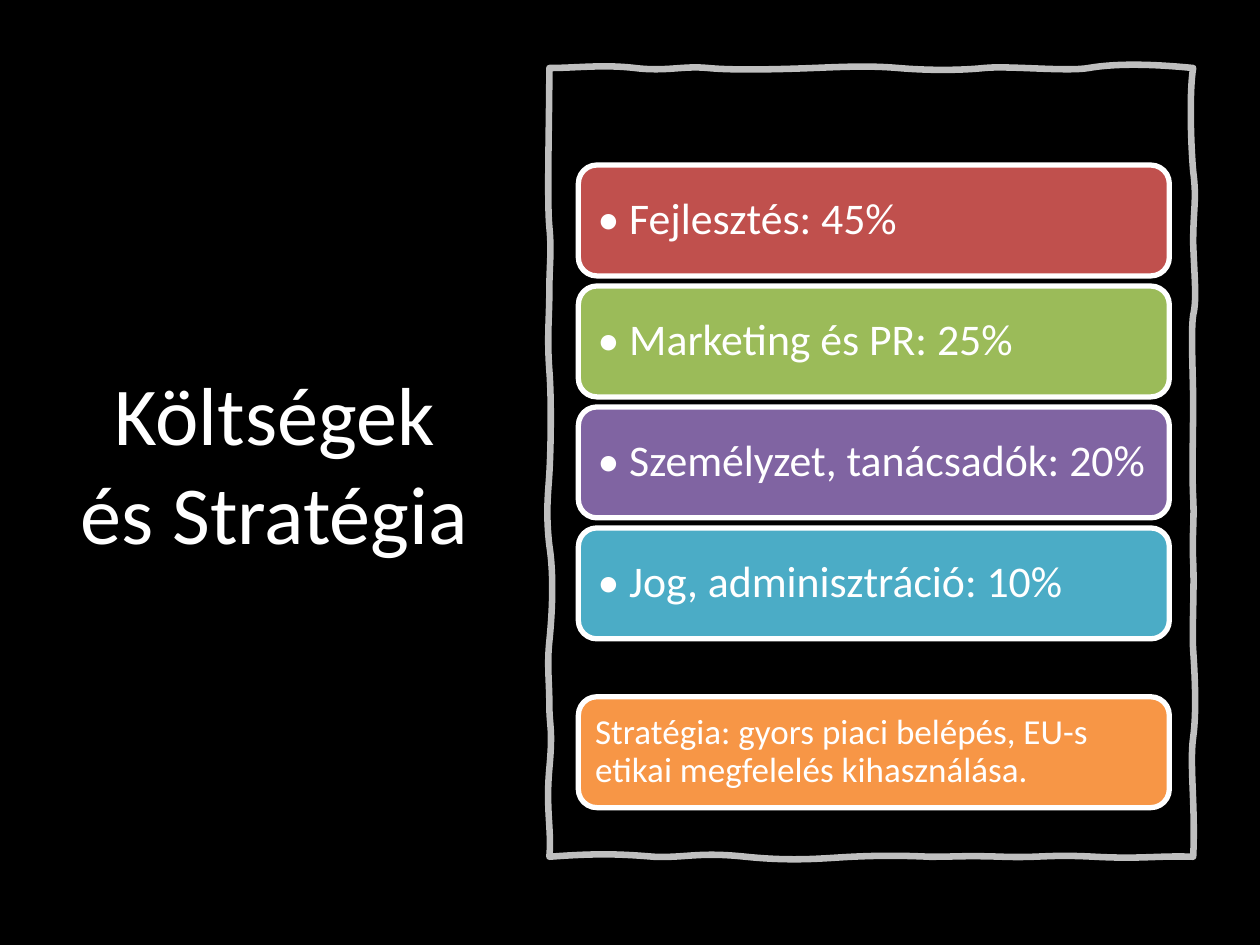
from typing import Any, NamedTuple

import lxml.etree
import pptx
import pptx.dml.color
import pptx.enum.shapes
import pptx.enum.text
import pptx.oxml
import pptx.oxml.ns
import pptx.util
from pptx.oxml.ns import qn
from pptx.util import Inches

HUES = {
    "black": "000000", "white": "FFFFFF", "red": "C0504D", "green": "9BBB59",
    "purple": "8064A2", "teal": "4BACC6", "orange": "F79646",
}
FONT = "Calibri"
KINDS = pptx.enum.shapes.MSO_SHAPE
ALIGN = pptx.enum.text.PP_ALIGN


class Card(NamedTuple):
    text: str
    hue: str
    top: float
    size: int = 25
    inset: float = 0.11


TOP, STEP = 1.31, 0.96
COSTS = [
    ("• Fejlesztés: 45%", "red"),
    ("• Marketing és PR: 25%", "green"),
    ("• Személyzet, tanácsadók: 20%", "purple"),
    ("• Jog, adminisztráció: 10%", "teal"),
]
CARDS = [Card(text, hue, TOP + i * STEP) for i, (text, hue) in enumerate(COSTS)]
CARDS.append(Card("Stratégia: gyors piaci belépés, EU-s etikai megfelelés kihasználása.",
                  "orange", 5.53, 20, 0.09))

# Each side of the sketched frame runs along one axis; a curve is two
# (along, across) handles and the place along the side where it ends.
LEFT, RIGHT, UPPER, LOWER = 4.36, 9.47, 0.54, 6.8
GRID = 100
TOP_SIDE = [
    (4.57, 0.54, 4.79, 0.51, 5.04), (5.29, 0.57, 5.42, 0.52, 5.62),
    (5.82, 0.56, 6.2, 0.55, 6.45), (6.7, 0.53, 6.9, 0.52, 7.13),
    (7.36, 0.56, 7.62, 0.56, 7.81), (8, 0.52, 8.47, 0.57, 8.64),
    (8.81, 0.51, 9.07, 0.5, 9.47),
]
RIGHT_SIDE = [
    (0.71, 9.44, 1.13, 9.45, 1.36), (1.59, 9.5, 1.65, 9.47, 1.93),
    (2.21, 9.48, 2.38, 9.5, 2.5), (2.63, 9.45, 3, 9.47, 3.2),
    (3.39, 9.47, 3.77, 9.46, 3.95), (4.14, 9.48, 4.25, 9.46, 4.46),
    (4.67, 9.48, 5.01, 9.46, 5.16), (5.31, 9.48, 5.64, 9.5, 5.85),
    (6.07, 9.44, 6.41, 9.49, 6.8),
]
BASE_SIDE = [
    (9.19, 6.79, 9.07, 6.82, 8.69), (8.31, 6.78, 8.27, 6.81, 7.96),
    (7.65, 6.79, 7.61, 6.8, 7.38), (7.16, 6.79, 6.97, 6.79, 6.76),
    (6.55, 6.81, 6.31, 6.84, 5.92), (5.54, 6.76, 5.45, 6.81, 5.19),
    (4.94, 6.78, 4.76, 6.77, 4.36),
]
LEFT_SIDE = [
    (6.59, 4.38, 6.43, 4.33, 6.1), (5.77, 4.39, 5.78, 4.36, 5.59),
    (5.41, 4.36, 5.28, 4.34, 5.09), (4.9, 4.38, 4.58, 4.4, 4.33),
    (4.07, 4.33, 3.92, 4.35, 3.76), (3.6, 4.37, 3.2, 4.38, 2.94),
    (2.67, 4.34, 2.52, 4.36, 2.31), (2.09, 4.36, 2.01, 4.38, 1.8),
    (1.59, 4.34, 0.95, 4.36, 0.54),
]


def color(name: str) -> pptx.dml.color.RGBColor:
    return pptx.dml.color.RGBColor.from_string(HUES[name])


def write(shape: Any, text: str, *, size: int, align: Any = ALIGN.LEFT,
          inset: float = 0.1, space: float = 1.0) -> None:
    frame = shape.text_frame
    frame.word_wrap = True
    frame.auto_size = pptx.enum.text.MSO_AUTO_SIZE.NONE
    frame.vertical_anchor = pptx.enum.text.MSO_ANCHOR.MIDDLE
    frame.margin_left = frame.margin_right = Inches(inset)
    frame.margin_top = frame.margin_bottom = Inches(inset)
    para = frame.paragraphs[0]
    para.alignment = align
    para.line_spacing = space
    run = para.add_run()
    run.text = text
    run.font.name = FONT
    run.font.size = pptx.util.Pt(size)
    run.font.color.rgb = color("white")


def fill(shape: Any, hue: str) -> None:
    shape.shadow.inherit = False
    shape.fill.solid()
    shape.fill.fore_color.rgb = color(hue)


def edge(shape: Any, width: float) -> None:
    shape.line.width = pptx.util.Pt(width)
    shape.line.color.rgb = color("white")


def bend(side: list[tuple], base: float, upright: bool) -> list[list[tuple]]:
    """Give each curve of a side as three (x, y) points."""
    curves = []
    for a, off_a, b, off_b, end in side:
        dots = [(a, off_a), (b, off_b), (end, base)]
        curves.append([dot[::-1] for dot in dots] if upright else dots)
    return curves


def draw_frame(shapes: Any) -> None:
    pen = shapes.build_freeform(LEFT * GRID, UPPER * GRID, scale=Inches(1) / GRID)
    ends = [(RIGHT, UPPER), (RIGHT, LOWER), (LEFT, LOWER)]
    pen.add_line_segments([(x * GRID, y * GRID) for x, y in ends], close=True)
    frame = pen.convert_to_shape()
    frame.shadow.inherit = False
    frame.fill.background()
    edge(frame, 3.75)

    # Swap the straight sides for curves.
    close = frame.element.find(".//" + qn("a:close"))
    for line in frame.element.findall(".//" + qn("a:lnTo")):
        line.getparent().remove(line)
    curves = (bend(TOP_SIDE, UPPER, False) + bend(RIGHT_SIDE, RIGHT, True)
              + bend(BASE_SIDE, LOWER, False) + bend(LEFT_SIDE, LEFT, True))
    for dots in curves:
        curve = pptx.oxml.parse_xml(f'<a:cubicBezTo {pptx.oxml.ns.nsdecls("a")}/>')
        for x, y in dots:
            lxml.etree.SubElement(curve, qn("a:pt"), x=str(round((x - LEFT) * GRID)),
                                  y=str(round((y - UPPER) * GRID)))
        close.addprevious(curve)

    tint = frame.element.find(f'.//{qn("a:ln")}//{qn("a:srgbClr")}')
    lxml.etree.SubElement(tint, qn("a:alpha"), val="75000")


def draw_card(shapes: Any, card: Card) -> None:
    box = shapes.add_shape(KINDS.ROUNDED_RECTANGLE, Inches(4.59), Inches(card.top),
                           Inches(4.69), Inches(0.88))
    fill(box, card.hue)
    edge(box, 3)
    write(box, card.text, size=card.size, inset=card.inset, space=0.9)


def main() -> None:
    deck = pptx.Presentation()
    deck.slide_width, deck.slide_height = Inches(10), Inches(7.5)
    slide = deck.slides.add_slide(deck.slide_layouts[5])
    shapes = slide.shapes

    title = shapes.title
    title.left, title.top = Inches(0.53), Inches(0.93)
    title.width, title.height = Inches(3.3), Inches(5.47)
    write(title, "Költségek és Stratégia", size=47, align=ALIGN.CENTER)

    back = shapes.add_shape(KINDS.RECTANGLE, 0, 0, deck.slide_width, deck.slide_height)
    fill(back, "black")
    back.line.fill.background()
    title.element.addprevious(back.element)

    draw_frame(shapes)
    for card in CARDS:
        draw_card(shapes, card)
    deck.save("out.pptx")


if __name__ == "__main__":
    main()
